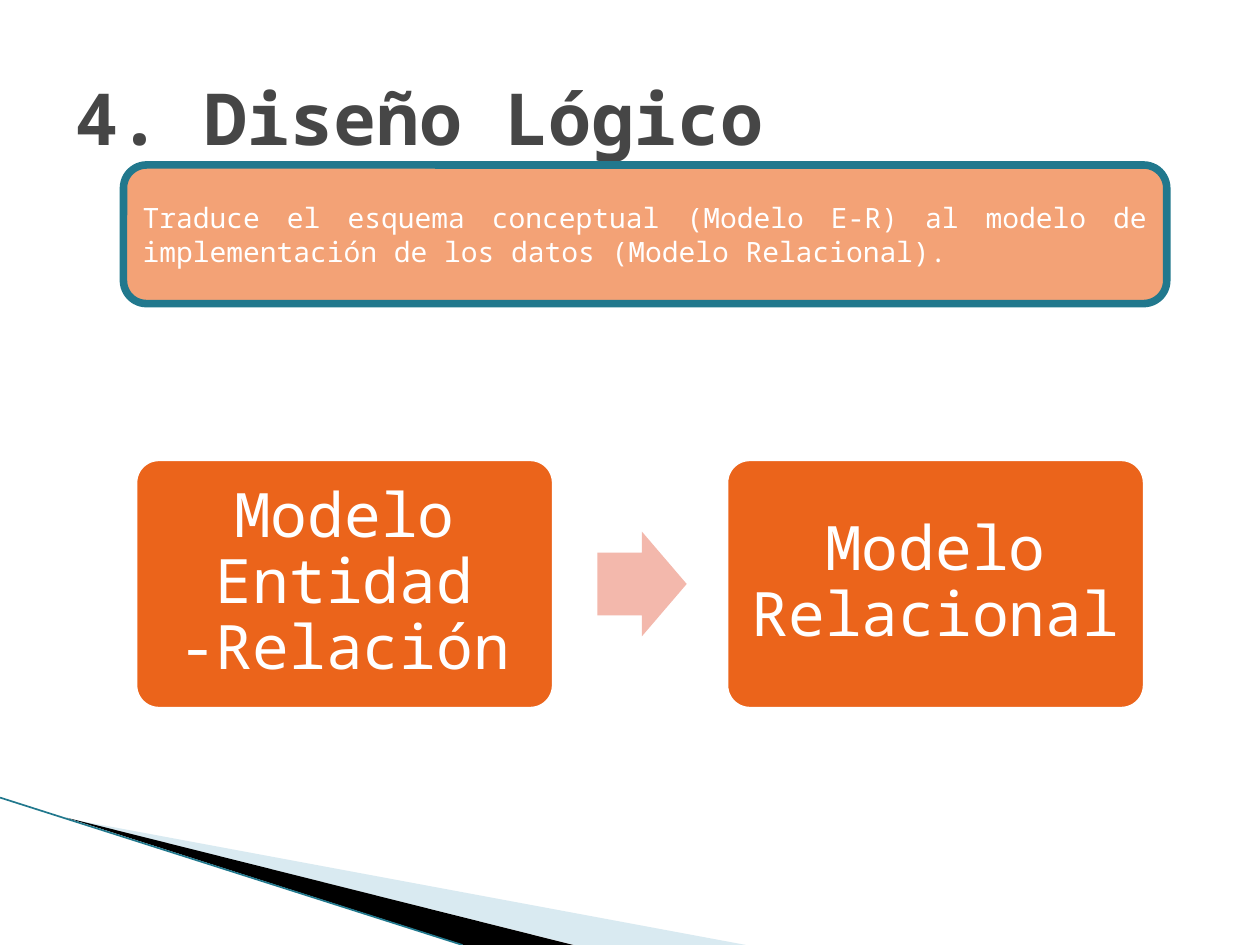
"""Build the slide on logical database design."""
from lxml import etree
from pptx import Presentation
from pptx.dml.color import RGBColor
from pptx.enum.shapes import MSO_CONNECTOR, MSO_SHAPE
from pptx.enum.text import MSO_ANCHOR, PP_ALIGN
from pptx.oxml.ns import qn
from pptx.util import Inches, Pt

STRAIGHT = MSO_CONNECTOR.STRAIGHT
ROUNDED, ARROW = MSO_SHAPE.ROUNDED_RECTANGLE, MSO_SHAPE.RIGHT_ARROW
MIDDLE = MSO_ANCHOR.MIDDLE
LEFT, CENTER, JUSTIFY = PP_ALIGN.LEFT, PP_ALIGN.CENTER, PP_ALIGN.JUSTIFY
FONT = "Noto Sans Mono"


def paint(sp, fill, line=None):
    sp.shadow.inherit = False
    sp.fill.solid()
    sp.fill.fore_color.rgb = RGBColor.from_string(fill)
    if line:
        sp.line.color.rgb = RGBColor.from_string(line)
        sp.line.width = Pt(4.33)
    else:
        sp.line.fill.background()


def write(sp, text, size, color, align, bold=False):
    tf = sp.text_frame
    tf.word_wrap = True
    tf.vertical_anchor = MIDDLE
    tf.text = text
    p = tf.paragraphs[0]
    p.alignment = align
    font = p.runs[0].font
    font.name, font.size, font.bold = FONT, Pt(size), bold
    font.color.rgb = RGBColor.from_string(color)
    return tf


prs = Presentation()
prs.slide_width, prs.slide_height = Inches(10), Inches(7.5)
s = prs.slides.add_slide(prs.slide_layouts[6])

wedges = [
    ("A0CBDC", [(0.55, 6.5), (5.92, 7.5), (4.56, 7.5)]),
    ("000000", [(0.53, 6.49), (4.55, 7.5), (3.68, 7.5)]),
]
for color, points in wedges:
    corners = [(Inches(x), Inches(y)) for x, y in points]
    builder = s.shapes.build_freeform(*corners[0])
    builder.add_line_segments(corners[1:])
    sp = builder.convert_to_shape()
    paint(sp, color)
    if color == "A0CBDC":
        clr = sp.fill._xPr.find(qn("a:solidFill"))[0]
        etree.SubElement(clr, qn("a:alpha")).set("val", "40000")

edge = s.shapes.add_connector(STRAIGHT, 0, Inches(6.33), Inches(3.67), Inches(7.5))
edge.line.color.rgb = RGBColor.from_string("21788D")
edge.line.width = Pt(0.95)
etree.SubElement(edge._element.spPr, qn("a:effectLst"))

title = s.shapes.add_textbox(Inches(0.5), Inches(0.3), Inches(9), Inches(1.25))
write(title, "4. Diseño Lógico", 41, "464646", LEFT, bold=True)

banner = s.shapes.add_shape(ROUNDED, Inches(0.98), Inches(1.31), Inches(8.28), Inches(1.1))
paint(banner, "F3A276", "21788D")
write(banner, "Traduce el esquema conceptual (Modelo E-R) al modelo de "
      "implementación de los datos (Modelo Relacional).", 16, "FFFFFF", JUSTIFY)

for left, text in [(1.06, "Modelo Entidad -Relación"), (5.75, "Modelo Relacional")]:
    box = s.shapes.add_shape(ROUNDED, Inches(left), Inches(3.63), Inches(3.35), Inches(2.01))
    box.adjustments[0] = 0.1
    paint(box, "EB641B", "FFFFFF")
    tf = write(box, text, 35, "FFFFFF", CENTER)
    tf.margin_left = tf.margin_right = Inches(0.14)
    tf.margin_top = tf.margin_bottom = Inches(0.14)
    tf.paragraphs[0].line_spacing = 0.9

arrow = s.shapes.add_shape(ARROW, Inches(4.74), Inches(4.22), Inches(0.71), Inches(0.83))
arrow.adjustments[0] = 0.6
arrow.adjustments[1] = 0.5
paint(arrow, "F3B8AC")

prs.save("out.pptx")
